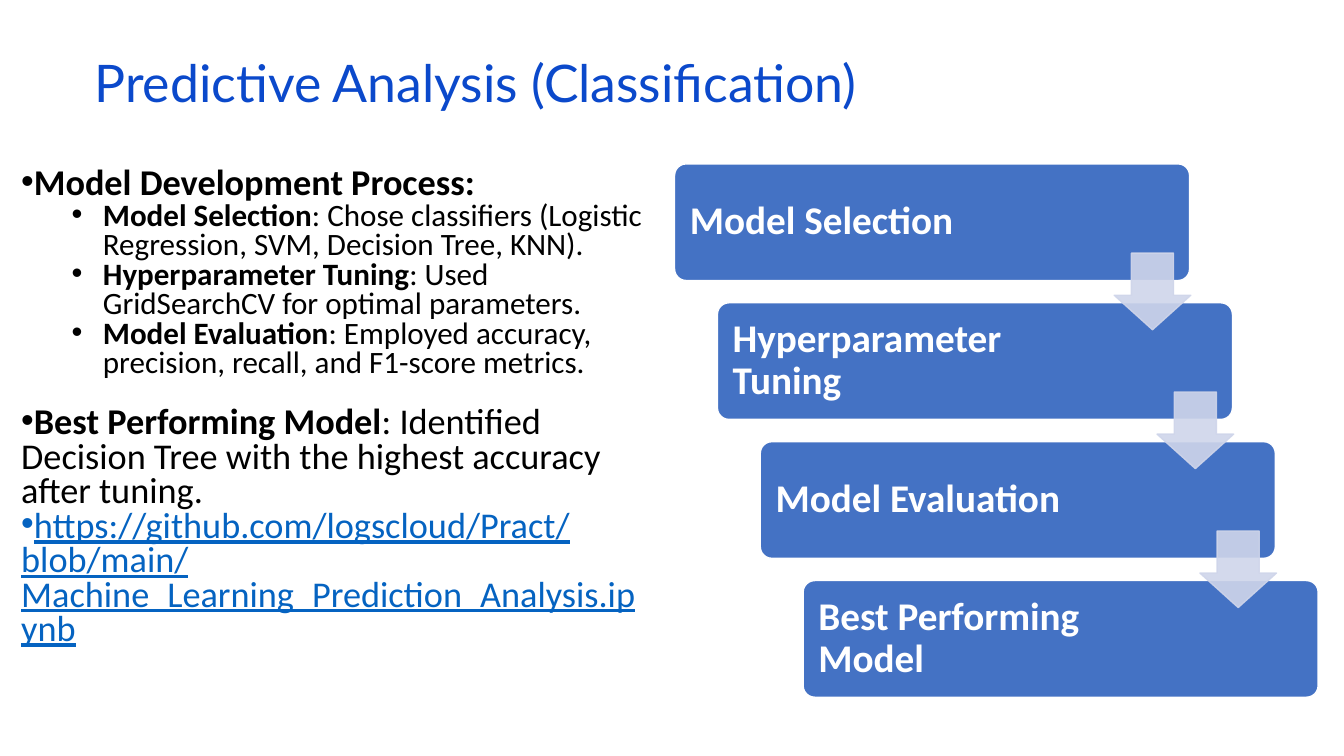
import pptx
import pptx.util
import pptx.dml.color
import pptx.enum.shapes
import pptx.enum.text
import pptx.oxml
import pptx.oxml.ns
from pptx.util import Cm

BLACK = pptx.dml.color.RGBColor(0x00, 0x00, 0x00)
WHITE = pptx.dml.color.RGBColor(0xFF, 0xFF, 0xFF)
TITLE_BLUE = pptx.dml.color.RGBColor(0x0B, 0x49, 0xCB)
LINK_BLUE = pptx.dml.color.RGBColor(0x05, 0x63, 0xC1)
STEP_BLUE = pptx.dml.color.RGBColor(0x44, 0x72, 0xC4)
ARROW_BLUE = pptx.dml.color.RGBColor(0xCF, 0xD5, 0xEA)

SHAPES = pptx.enum.shapes.MSO_SHAPE
MIDDLE = pptx.enum.text.MSO_ANCHOR.MIDDLE
LEFT = pptx.enum.text.PP_ALIGN.LEFT

STEPS = ["Model Selection", "Hyperparameter Tuning",
         "Model Evaluation", "Best Performing Model"]

# Level, space before in points, bold lead, remaining text
FINDINGS = [
    (0, 0, "Model Development Process:", ""),
    (1, 0, "Model Selection",
     ": Chose classifiers (Logistic Regression, SVM, Decision Tree, KNN)."),
    (1, 0, "Hyperparameter Tuning", ": Used GridSearchCV for optimal parameters."),
    (1, 0, "Model Evaluation",
     ": Employed accuracy, precision, recall, and F1-score metrics."),
    (0, 20, "Best Performing Model",
     ": Identified Decision Tree with the highest accuracy after tuning."),
]
NOTEBOOK_URL = ("https://github.com/logscloud/Pract/blob/main/"
                "Machine_Learning_Prediction_Analysis.ipynb")

# Staircase geometry
STEP_LEFT, STEP_TOP = Cm(17), Cm(4.13)
STEP_RIGHTWARD, STEP_DOWNWARD = Cm(1.08), Cm(3.5)
STEP_WIDTH, STEP_HEIGHT = Cm(12.98), Cm(2.94)
ARROW_SIZE = Cm(1.93)
ARROW_RIGHTWARD, ARROW_DOWNWARD = Cm(11.08), Cm(2.25)


def place(part, left, top, width, height):
    part.left, part.top, part.width, part.height = left, top, width, height


def add_run(paragraph, text, size, color, font="Calibri", bold=False, underline=False):
    run = paragraph.add_run()
    run.text = text
    run.font.name = font
    run.font.size = pptx.util.Pt(size)
    run.font.color.rgb = color
    run.font.bold = bold
    run.font.underline = underline


def set_bullet(paragraph, margin, indent):
    properties = paragraph._p.get_or_add_pPr()
    properties.set("marL", str(margin))
    properties.set("indent", str(indent))
    for tag, attribute, value in (("buFont", "typeface", "Arial"), ("buChar", "char", "•")):
        bullet = pptx.oxml.parse_xml(f"<a:{tag} {pptx.oxml.ns.nsdecls('a')}/>")
        bullet.set(attribute, value)
        properties.append(bullet)


def add_title(slide):
    title = slide.shapes.title
    place(title, Cm(2.13), Cm(1.5), Cm(29.2), Cm(1.52))
    frame = title.text_frame
    frame.auto_size = pptx.enum.text.MSO_AUTO_SIZE.NONE
    frame.vertical_anchor = MIDDLE
    heading = frame.paragraphs[0]
    heading.alignment = LEFT
    heading.line_spacing = 0.7
    add_run(heading, "Predictive Analysis (Classification)", 37, TITLE_BLUE, "Lato")


def add_list_item(frame, level, space_before):
    first = frame.paragraphs[0]
    item = frame.add_paragraph() if first.runs else first
    item.level = level
    set_bullet(item, Cm(2.06) if level else 0, Cm(-0.79) if level else 0)
    item.alignment = LEFT
    item.line_spacing = 0.79
    item.space_before = pptx.util.Pt(space_before)
    return item


def add_findings(slide):
    body = slide.placeholders[1]
    place(body, Cm(0.28), Cm(4.11), Cm(16.23), Cm(14.4))
    frame = body.text_frame
    frame.auto_size = pptx.enum.text.MSO_AUTO_SIZE.NONE
    for level, space_before, lead, detail in FINDINGS:
        size = 22.2 if level else 25.9
        item = add_list_item(frame, level, space_before)
        add_run(item, lead, size, BLACK, bold=True)
        if detail:
            add_run(item, detail, size, BLACK)
    address = add_list_item(frame, 0, 0)
    add_run(address, NOTEBOOK_URL, 25.9, LINK_BLUE, underline=True)


def add_filled_shape(slide, kind, box, adjustments, fill, line):
    shape = slide.shapes.add_shape(kind, *box)
    shape.shadow.inherit = False
    for index, value in enumerate(adjustments):
        shape.adjustments[index] = value
    shape.fill.solid()
    shape.fill.fore_color.rgb = fill
    shape.line.color.rgb = line
    shape.line.width = pptx.util.Pt(1)
    return shape


def add_step(slide, index, label):
    box = (STEP_LEFT + index * STEP_RIGHTWARD, STEP_TOP + index * STEP_DOWNWARD,
           STEP_WIDTH, STEP_HEIGHT)
    step = add_filled_shape(slide, SHAPES.ROUNDED_RECTANGLE, box, [0.1], STEP_BLUE, WHITE)
    frame = step.text_frame
    frame.word_wrap = True
    frame.vertical_anchor = MIDDLE
    frame.margin_left = Cm(0.3)
    frame.margin_right = Cm(3.3)
    caption = frame.paragraphs[0]
    caption.alignment = LEFT
    caption.line_spacing = 0.9
    add_run(caption, label, 28, WHITE, bold=True)


def add_step_arrow(slide, index):
    box = (STEP_LEFT + index * STEP_RIGHTWARD + ARROW_RIGHTWARD,
           STEP_TOP + index * STEP_DOWNWARD + ARROW_DOWNWARD, ARROW_SIZE, ARROW_SIZE)
    arrow = add_filled_shape(slide, SHAPES.DOWN_ARROW, box, [0.55, 0.45],
                             ARROW_BLUE, ARROW_BLUE)
    # Fill and outline are 90% opaque
    for color in arrow._element.spPr.iter(pptx.oxml.ns.qn("a:srgbClr")):
        color.append(pptx.oxml.parse_xml(
            f"<a:alpha {pptx.oxml.ns.nsdecls('a')} val='90000'/>"))


def main():
    deck = pptx.Presentation()
    deck.slide_width, deck.slide_height = Cm(33.87), Cm(19.05)
    slide = deck.slides.add_slide(deck.slide_layouts[1])

    # Heading and findings
    add_title(slide)
    add_findings(slide)

    # Staircase of steps, with the arrows on top
    for index, label in enumerate(STEPS):
        add_step(slide, index, label)
    for index in range(len(STEPS) - 1):
        add_step_arrow(slide, index)

    deck.save("out.pptx")


if __name__ == "__main__":
    main()
